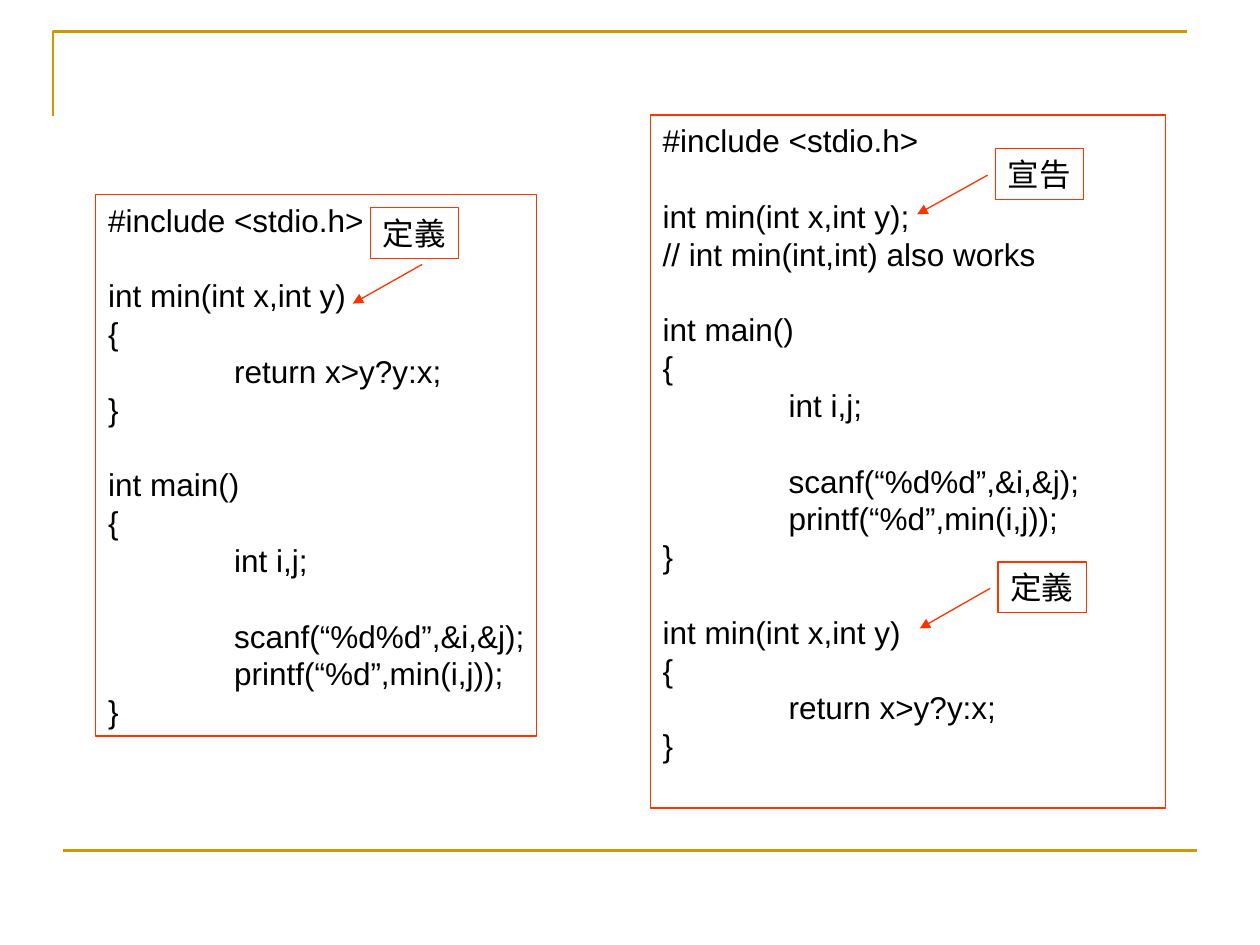
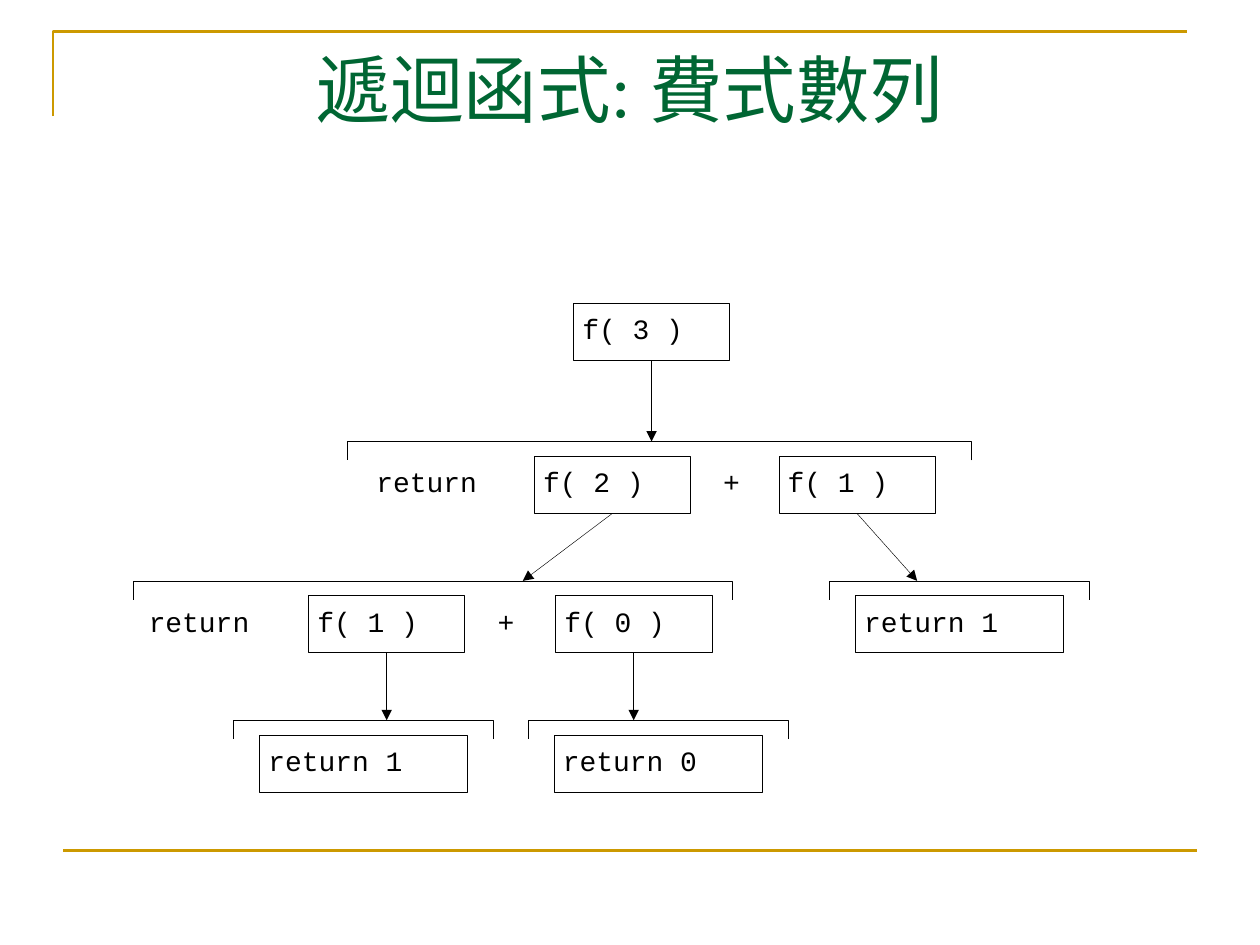
from dataclasses import dataclass

from lxml.etree import SubElement
from pptx import Presentation
from pptx.dml.color import RGBColor
from pptx.enum.shapes import MSO_CONNECTOR as Link, MSO_SHAPE as Preset
from pptx.enum.text import MSO_ANCHOR as Anchor, MSO_AUTO_SIZE as AutoSize, PP_ALIGN as Align
from pptx.oxml.ns import qn
from pptx.shapes.autoshape import Shape
from pptx.shapes.connector import Connector
from pptx.slide import Slide
from pptx.text.text import TextFrame
from pptx.util import Cm, Pt


@dataclass(frozen=True)
class TextStyle:
    font: str
    size: float
    color: RGBColor


@dataclass(frozen=True)
class LineStyle:
    color: RGBColor
    width: float


BLACK = RGBColor(0, 0, 0)


@dataclass(frozen=True)
class Theme:
    title = TextStyle("Times New Roman", 42, RGBColor(0x00, 0x66, 0x33))
    code = TextStyle("Arial", 18, BLACK)
    tree = TextStyle("Courier New", 16, BLACK)
    frame_line = LineStyle(RGBColor(0xCC, 0x99, 0x00), 1.5)
    code_line = LineStyle(RGBColor(0xFF, 0x33, 0x00), 0.75)
    tree_line = LineStyle(BLACK, 0.25)
    line_spacing = 1.2


THEME = Theme()


# Lengths in the records below are centimetres.
@dataclass(frozen=True)
class Listing:
    left: float
    top: float
    width: float
    height: float
    code: str


@dataclass(frozen=True)
class Callout:
    text: str
    left: float
    top: float
    arrow_start: tuple[float, float]
    arrow_end: tuple[float, float]


@dataclass(frozen=True)
class Word:
    text: str
    left: float


@dataclass(frozen=True)
class Call:
    text: str
    left: float
    width: float = 3.15
    result: "Expansion | None" = None


@dataclass(frozen=True)
class Expansion:
    """What a call returns; without arrow_x the arrow runs straight down."""
    left: float
    width: float
    calls: tuple[Call, ...]
    words: tuple[Word, ...] = ()
    arrow_x: float | None = None


MIN_BODY = """{
\treturn x>y?y:x;
}"""
MAIN_FUNCTION = """int main()
{
\tint i,j;

\tscanf(“%d%d”,&i,&j);
\tprintf(“%d”,min(i,j));
}"""

LISTINGS = (
    Listing(1.93, 3.92, 8.89, 10.92, f"""#include <stdio.h>

int min(int x,int y)
{MIN_BODY}

{MAIN_FUNCTION}"""),
    Listing(13.11, 2.32, 10.38, 13.97, f"""#include <stdio.h>

int min(int x,int y);
// int min(int,int) also works

{MAIN_FUNCTION}

int min(int x,int y)
{MIN_BODY}"""),
)

CALLOUTS = (
    Callout("宣告", 20.07, 3.0, (19.91, 3.53), (18.49, 4.32)),
    Callout("定義", 20.12, 11.33, (19.96, 11.86), (18.54, 12.67)),
    Callout("定義", 7.47, 4.19, (8.51, 5.33), (7.11, 6.12)),
)

ROOT_TOP = 6.12
FIRST_BRACKET_TOP = 8.9
LEVEL_PITCH = 2.81
BRACKET_DEPTH = 0.38
CALL_DROP = 0.3
CALL_HEIGHT = 1.15
CALL_INSET = 0.17
LEAF_WIDTH = 4.19
LEAF_BRACKET = 5.25


def leaf(text: str, left: float, arrow_x: float | None = None) -> Expansion:
    """A bracket with one returned value centred below it."""
    inset = (LEAF_BRACKET - LEAF_WIDTH) / 2
    return Expansion(left, LEAF_BRACKET, (Call(text, left + inset, LEAF_WIDTH),), (), arrow_x)


F2_RESULT = Expansion(
    2.69, 12.07,
    (Call("f( 1 )", 6.22, result=leaf("return 1", 4.7)),
     Call("f( 0 )", 11.2, result=leaf("return 0", 10.64))),
    (Word("return", 3.0), Word("+", 10.03)),
    arrow_x=10.54,
)
F3_RESULT = Expansion(
    7.01, 12.57,
    (Call("f( 2 )", 10.77, result=F2_RESULT),
     Call("f( 1 )", 15.7, result=leaf("return 1", 16.71, 18.49))),
    (Word("return", 7.59), Word("+", 14.58)),
)
CALL_TREE = Call("f( 3 )", 11.56, result=F3_RESULT)


def set_line(shape: Shape | Connector, style: LineStyle) -> None:
    shape.line.color.rgb = style.color
    shape.line.width = Pt(style.width)


def write_lines(frame: TextFrame, text: str, style: TextStyle) -> None:
    """One paragraph per line; an empty line becomes space before the next."""
    pitch = Pt(style.size * THEME.line_spacing)
    paragraph = None
    gap = 0
    for line in text.split("\n"):
        if not line:
            gap += pitch
            continue
        paragraph = frame.add_paragraph() if paragraph else frame.paragraphs[0]
        paragraph.text = line
        if line.startswith("\t"):
            tabs = SubElement(paragraph._p.get_or_add_pPr(), qn("a:tabLst"))
            SubElement(tabs, qn("a:tab"), pos=str(Cm(2.54)), algn="l")
        paragraph.alignment = Align.LEFT
        paragraph.line_spacing = pitch
        paragraph.space_before = gap
        set_font(paragraph, style)
        gap = 0


def set_font(paragraph, style: TextStyle) -> None:
    paragraph.font.name = style.font
    paragraph.font.size = Pt(style.size)
    paragraph.font.color.rgb = style.color


def add_text_rectangle(page: Slide, bounds: tuple[float, float, float, float], text: str,
                       text_style: TextStyle, line_style: LineStyle,
                       inset_left: float, inset_top: float) -> Shape:
    box = page.shapes.add_shape(Preset.RECTANGLE, *map(Cm, bounds))
    box.shadow.inherit = False
    box.fill.background()
    set_line(box, line_style)
    frame = box.text_frame
    frame.word_wrap = True
    frame.vertical_anchor = Anchor.TOP
    frame.margin_left, frame.margin_top = Cm(inset_left), Cm(inset_top)
    frame.margin_right = frame.margin_bottom = 0
    write_lines(frame, text, text_style)
    return box


def add_line(page: Slide, start: tuple[float, float], end: tuple[float, float],
             style: LineStyle, arrow: bool = False) -> Connector:
    line = page.shapes.add_connector(Link.STRAIGHT, *map(Cm, start + end))
    set_line(line, style)
    properties = line.element.spPr
    if arrow:
        SubElement(properties.find(qn("a:ln")), qn("a:tailEnd"), type="triangle")
    SubElement(properties, qn("a:effectLst"))
    return line


def add_open_path(page: Slide, points: list[tuple[float, float]], style: LineStyle) -> None:
    first, *rest = [(Cm(x), Cm(y)) for x, y in points]
    builder = page.shapes.build_freeform(*first)
    builder.add_line_segments(rest, close=False)
    path = builder.convert_to_shape()
    path.shadow.inherit = False
    path.fill.background()
    set_line(path, style)


def add_frame(page: Slide) -> None:
    """The gold corner and bottom rule of every slide."""
    add_open_path(page, [(1.07, 2.34), (1.07, 0.64), (23.93, 0.64)], THEME.frame_line)
    add_line(page, (1.27, 17.15), (24.13, 17.15), THEME.frame_line)


def add_word(page: Slide, word: Word, top: float) -> None:
    box = page.shapes.add_textbox(Cm(word.left), Cm(top), Cm(0.6 * len(word.text)), Cm(0.89))
    frame = box.text_frame
    frame.margin_left = frame.margin_top = frame.margin_right = frame.margin_bottom = 0
    frame.word_wrap = True
    write_lines(frame, word.text, THEME.tree)


def add_call(page: Slide, call: Call, top: float, level: int = 0) -> None:
    """Draw a call and, below it, everything it returns."""
    box = add_text_rectangle(page, (call.left, top, call.width, CALL_HEIGHT), call.text,
                             THEME.tree, THEME.tree_line, 0.18, CALL_INSET)
    result = call.result
    if result is None:
        return
    bracket_top = FIRST_BRACKET_TOP + LEVEL_PITCH * level
    left, right = result.left, result.left + result.width
    bottom = bracket_top + BRACKET_DEPTH
    add_open_path(page, [(right, bottom), (right, bracket_top),
                         (left, bracket_top), (left, bottom)], THEME.tree_line)
    center = call.left + call.width / 2
    arrow_x = center if result.arrow_x is None else result.arrow_x
    arrow = add_line(page, (center, top + CALL_HEIGHT), (arrow_x, bracket_top),
                     THEME.tree_line, arrow=True)
    arrow.begin_connect(box, 2)
    call_top = bracket_top + CALL_DROP
    for word in result.words:
        add_word(page, word, call_top + CALL_INSET)
    for child in result.calls:
        add_call(page, child, call_top, level + 1)


def add_title(page: Slide, text: str) -> None:
    title = page.shapes.title
    title.left, title.top, title.width, title.height = map(Cm, (1.27, 0.76, 22.86, 3.18))
    frame = title.text_frame
    frame.text = text
    frame.auto_size = AutoSize.NONE
    frame.vertical_anchor = Anchor.TOP
    paragraph = frame.paragraphs[0]
    paragraph.alignment = Align.CENTER
    set_font(paragraph, THEME.title)


def build_declaration_slide(page: Slide) -> None:
    add_frame(page)
    for item in LISTINGS:
        add_text_rectangle(page, (item.left, item.top, item.width, item.height), item.code,
                           THEME.code, THEME.code_line, 0.25, 0.13)
    for note in CALLOUTS:
        add_text_rectangle(page, (note.left, note.top, 1.78, 1.02), note.text,
                           THEME.code, THEME.code_line, 0.25, 0.13)
        add_line(page, note.arrow_start, note.arrow_end, THEME.code_line, arrow=True)


def build_recursion_slide(page: Slide) -> None:
    add_frame(page)
    add_title(page, "遞迴函式: 費式數列")
    add_call(page, CALL_TREE, ROOT_TOP)


def main() -> None:
    deck = Presentation()
    deck.slide_width, deck.slide_height = Cm(25.4), Cm(19.05)
    title_only, blank = deck.slide_layouts[5], deck.slide_layouts[6]
    build_declaration_slide(deck.slides.add_slide(blank))
    build_recursion_slide(deck.slides.add_slide(title_only))
    deck.save("out.pptx")


if __name__ == "__main__":
    main()
